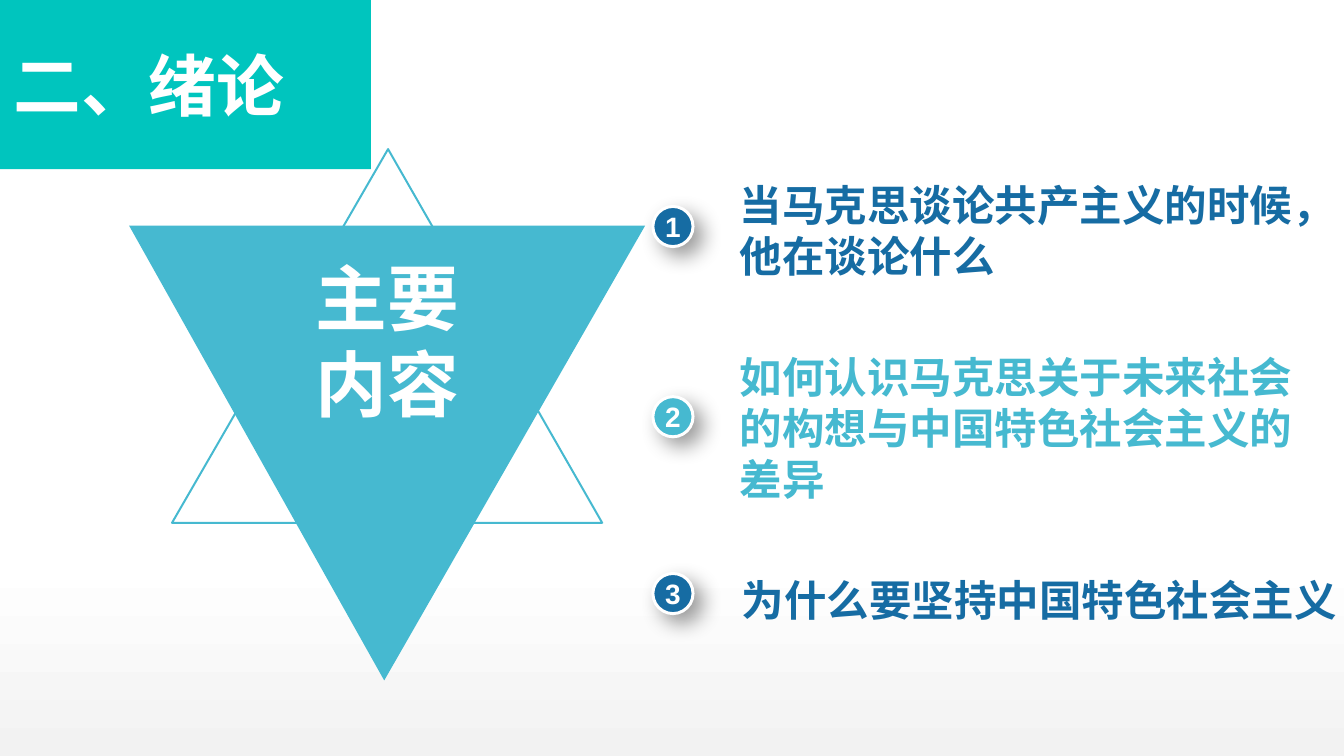
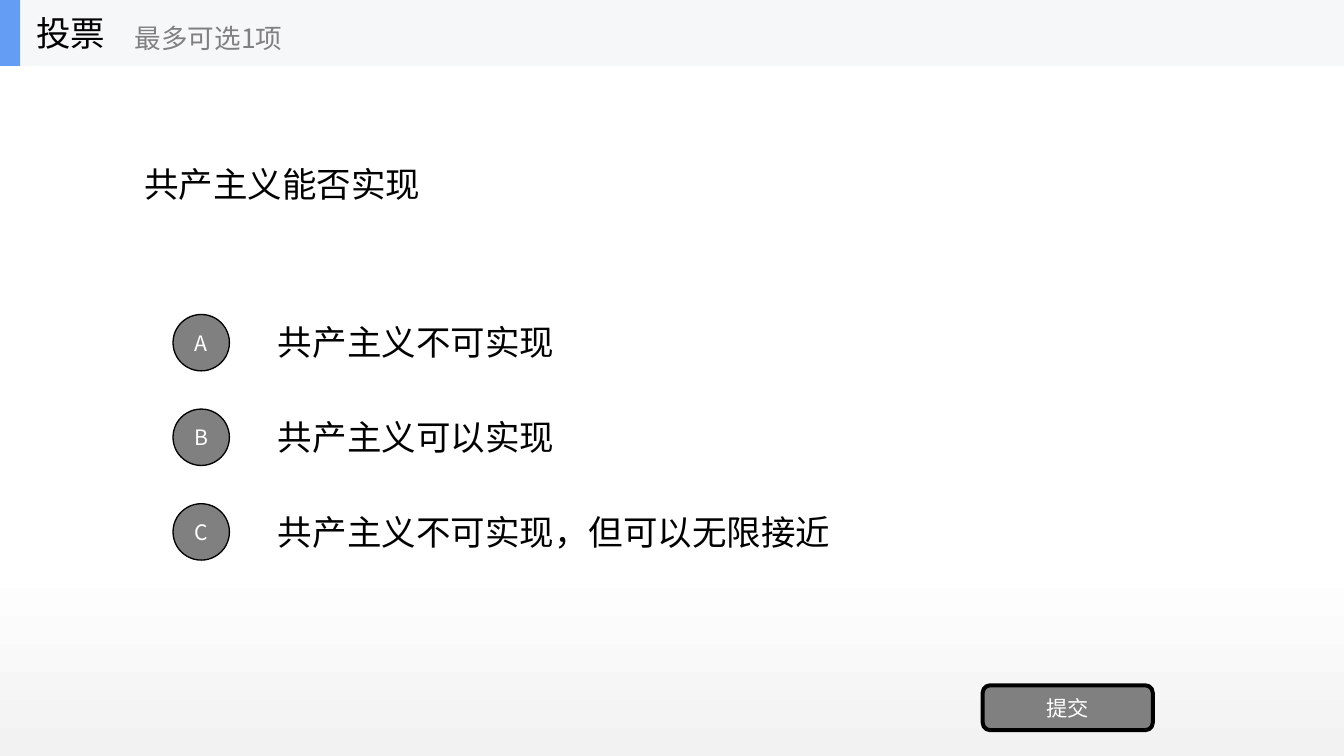
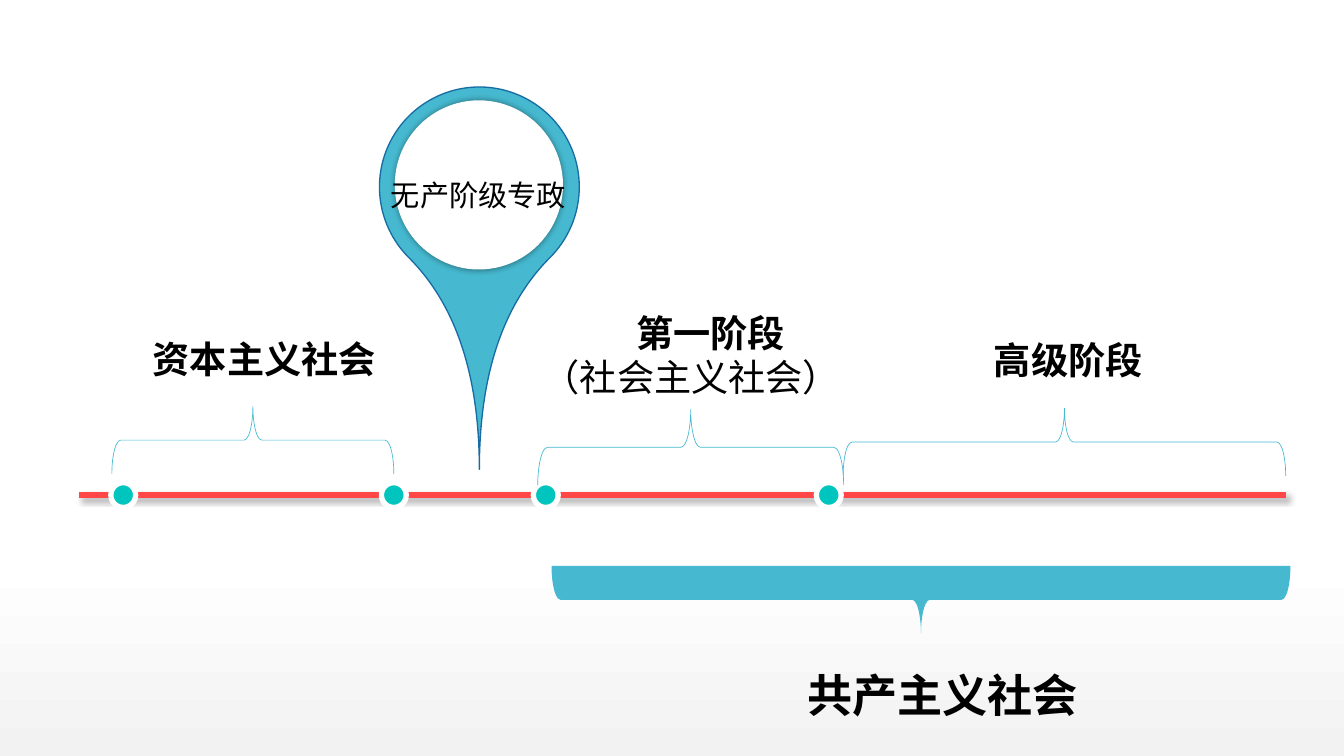
"""Build three lecture slides: contents, a poll and a timeline."""
from dataclasses import dataclass
from lxml.etree import SubElement as Sub
from pptx import Presentation
from pptx.dml.color import RGBColor as RGB
from pptx.enum.shapes import MSO_CONNECTOR as LINK, MSO_SHAPE as KIND
from pptx.enum.text import MSO_ANCHOR as ANCHOR, PP_ALIGN as ALIGN
from pptx.oxml.ns import qn
from pptx.util import Inches, Pt


@dataclass(frozen=True)
class Theme:
    blue: str = "166CA3"
    sky: str = "46B9D0"
    teal: str = "00C5BE"
    red: str = "FF4747"
    mark: str = "639EF4"
    band: str = "F6F7F8"
    mist: str = "F2F2F2"
    gray: str = "808080"
    white: str = "FFFFFF"
    black: str = "000000"
    sans: str = "Noto Sans CJK SC"
    latin: str = "Arial"
    hero: float = 54
    title: float = 51
    total: float = 34
    point: float = 32
    stage: float = 28
    body: float = 26
    pin: float = 22
    digit: float = 21.1
    hint: float = 20
    label: float = 16


look = Theme()


def style(item, fill=None, line=None, width=1, cast=None):
    if hasattr(item, "fill"):
        if fill:
            item.fill.solid()
            item.fill.fore_color.rgb = RGB.from_string(fill)
        else:
            item.fill.background()
    if line:
        item.line.color.rgb = RGB.from_string(line)
        item.line.width = Pt(width)
    else:
        item.line.fill.background()
    if hasattr(item, "shadow"):
        item.shadow.inherit = False
        effects = item._element.spPr.find(qn("a:effectLst"))
    else:
        effects = Sub(item._element.spPr, qn("a:effectLst"))
    if cast:
        blur, dist, angle = cast
        shade = Sub(effects, qn("a:outerShdw"), blurRad=str(Pt(blur)), dist=str(Pt(dist)),
                    dir=str(angle * 60000), algn="ctr", rotWithShape="0")
        tone = Sub(shade, qn("a:srgbClr"), val=look.black)
        Sub(tone, qn("a:alpha"), val="40000")
    return item


def write(item, text, size, color, bold=False, align=ALIGN.LEFT, font=look.sans,
          pad=(0.1, 0.05), wrap=True, tight=False):
    frame = item.text_frame
    frame.text = text
    frame.word_wrap = wrap
    frame.vertical_anchor = ANCHOR.MIDDLE
    frame.margin_left = frame.margin_right = Inches(pad[0])
    frame.margin_top = frame.margin_bottom = Inches(pad[1])
    for para in frame.paragraphs:
        para.alignment = align
        if tight:
            para.line_spacing = Pt(size * 1.2)
        for run in para.runs:
            run.font.size = Pt(size)
            run.font.bold = bold
            run.font.color.rgb = RGB.from_string(color)
            run.font.name = font
            Sub(run._r.get_or_add_rPr(), qn("a:ea"), typeface=look.sans)
    return frame


deck = Presentation()
deck.slide_width, deck.slide_height = Inches(14.06), Inches(7.91)
back = deck.slide_master.background.fill
back.gradient()
back.gradient_angle = 90
for stop, color, place in zip(back.gradient_stops, (look.mist, look.white), (0, 0.26)):
    stop.color.rgb = RGB.from_string(color)
    stop.position = place
blank = deck.slide_layouts[6]

shapes = deck.slides.add_slide(blank).shapes
for points, fill, line in (
    (((1.35, 2.36), (6.75, 2.36), (4.02, 7.12)), look.sky, None),
    (((4.06, 1.56), (6.3, 5.47), (1.8, 5.47)), None, look.sky),
):
    first, *rest = [(Inches(x), Inches(y)) for x, y in points]
    path = shapes.build_freeform(*first)
    path.add_line_segments(rest)
    style(path.convert_to_shape(), fill, line, 1.5)

items = (
    ("当马克思谈论共产主义的时候，他在谈论什么", look.blue, 2.16, (7.74, 1.87, 5.98, 1.08)),
    ("如何认识马克思关于未来社会的构想与中国特色社会主义的差异", look.sky, 4.15,
     (7.74, 3.66, 6.01, 1.62)),
    ("为什么要坚持中国特色社会主义", look.blue, 6, (7.76, 6, 6.3, 0.54)),
)
for num, (text, color, top, box) in enumerate(items, 1):
    dot = shapes.add_shape(KIND.OVAL, *map(Inches, (6.83, top, 0.42, 0.42)))
    style(dot, color, look.white, 2.25, (16, 9, 45))
    write(dot, str(num), look.digit, look.white, True, ALIGN.CENTER, look.latin, (0, 0))
    note = shapes.add_textbox(*map(Inches, box))
    write(note, text, look.point, color, True, font=look.latin, pad=(0, 0), tight=True)

hero = shapes.add_textbox(*map(Inches, (2.62, 2.65, 2.87, 1.82)))
write(hero, "主要\n内容", look.hero, look.white, True, ALIGN.CENTER, look.latin, (0, 0),
      tight=True)
title = shapes.add_shape(KIND.RECTANGLE, 0, 0, Inches(3.88), Inches(1.77))
style(title, look.teal)
write(title, "二、绪论", look.title, look.white, True, pad=(0.14, 0.07))

shapes = deck.slides.add_slide(blank).shapes
topic = shapes.add_textbox(*map(Inches, (1.41, 0.69, 11.25, 2.47)))
write(topic, "共产主义能否实现", look.body, look.black)
votes = ("共产主义不可实现", "共产主义可以实现", "共产主义不可实现，但可以无限接近")
for row, (key, text) in enumerate(zip("ABC", votes)):
    top = 3.21 + row * 0.99
    vote = shapes.add_textbox(*map(Inches, (2.81, top, 9.84, 0.74)))
    write(vote, text, look.body, look.black)
    dot = shapes.add_shape(KIND.OVAL, *map(Inches, (1.81, top + 0.08, 0.59, 0.59)))
    style(dot, look.gray, look.black)
    write(dot, key, look.label, look.white, align=ALIGN.CENTER)
button = shapes.add_shape(KIND.ROUNDED_RECTANGLE, *map(Inches, (10.28, 7.17, 1.78, 0.47)))
style(button, look.gray, look.black, 3)
write(button, "提交", look.label, look.white, align=ALIGN.CENTER)
for width, fill in ((14.06, look.band), (0.21, look.mark)):
    style(shapes.add_shape(KIND.RECTANGLE, 0, 0, Inches(width), Inches(0.69)), fill)
for text, size, color, box in (
    ("投票", look.body, look.black, (0.28, 0, 2.08, 0.69)),
    ("最多可选1项", look.hint, look.gray, (1.31, 0.12, 2.5, 0.56)),
):
    write(shapes.add_textbox(*map(Inches, box)), text, size, color, wrap=False)

shapes = deck.slides.add_slide(blank).shapes
axis = shapes.add_connector(LINK.STRAIGHT, *map(Inches, (0.83, 5.18, 13.45, 5.18)))
style(axis, line=look.red, width=4.5, cast=(4, 3, 45))
for left in (1.16, 3.99, 5.58, 8.54):
    dot = shapes.add_shape(KIND.OVAL, *map(Inches, (left, 5.05, 0.26, 0.26)))
    style(dot, look.teal, look.white, 4)

drop = shapes.add_shape(KIND.TEAR, *map(Inches, (3.97, 0.91, 2.09, 2.09)))
drop.adjustments[0] = 2
drop.rotation = 135
style(drop, look.sky, look.blue)
disc = shapes.add_shape(KIND.OVAL, *map(Inches, (4.13, 1.05, 1.76, 1.77)))
style(disc, look.white, cast=(5, 0, 0))
pin = shapes.add_textbox(*map(Inches, (3.98, 1.79, 2.05, 0.5)))
write(pin, "无产阶级专政", look.pin, look.black, align=ALIGN.CENTER, wrap=False)

for box, turn, fill, line in (
    ((9.28, 2.41, 0.71, 7.73), 270, look.sky, None),
    ((2.29, 3.13, 0.71, 2.95), 90, None, look.sky),
    ((6.83, 3.08, 0.79, 3.2), 90, None, look.sky),
    ((10.78, 2.31, 0.71, 4.63), 90, None, look.sky),
):
    brace = shapes.add_shape(KIND.LEFT_BRACE, *map(Inches, box))
    brace.adjustments[0] = 0.13
    brace.adjustments[1] = 0.5
    brace.rotation = turn
    style(brace, fill, line, 0.5)

for text, size, box in (
    ("资本主义社会", look.stage, (1.5, 3.47, 2.75, 0.57)),
    ("高级阶段", look.stage, (10.3, 3.48, 2, 0.57)),
    ("共产主义社会", look.total, (8.35, 6.91, 4.62, 0.71)),
):
    write(shapes.add_textbox(*map(Inches, box)), text, size, look.black, True)
phase = shapes.add_textbox(*map(Inches, (5.58, 3.19, 3.71, 1.04)))
frame = write(phase, "第一阶段\n（社会主义社会）", look.stage, look.black, True, ALIGN.CENTER,
              tight=True)
frame.paragraphs[1].runs[0].font.bold = False
frame.paragraphs[1].alignment = ALIGN.LEFT

deck.save("out.pptx")
